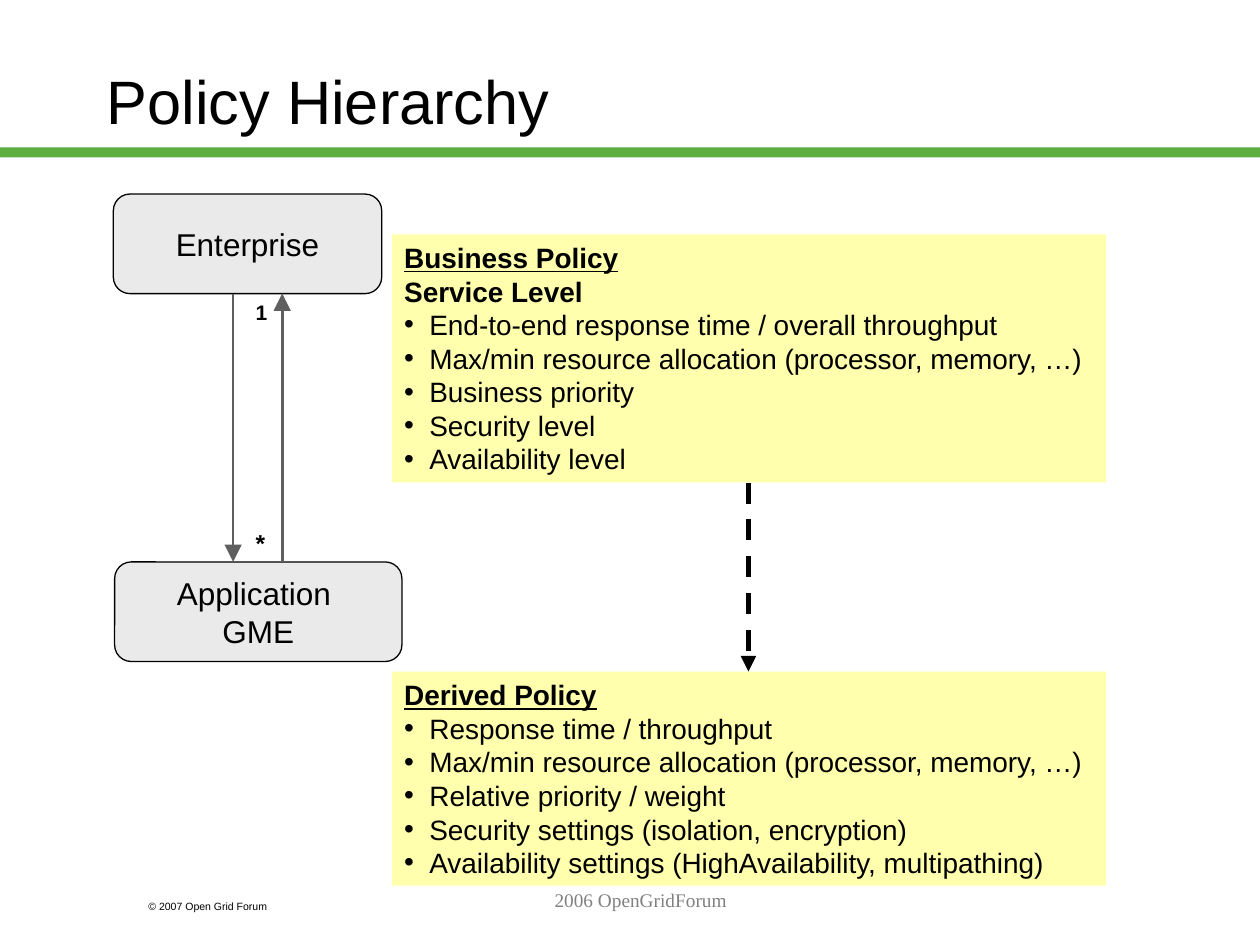
from lxml import etree
from pptx import Presentation, util as u
from pptx.dml.color import RGBColor
from pptx.enum import dml, shapes, text
from pptx.oxml.ns import qn

C = {"green": "5DAD41", "black": "000000", "grey": "EAEAEA",
     "yellow": "FFFF99", "arrow": "5F5F5F", "footer": "808080"}
SH, AL, AN = shapes.MSO_SHAPE, text.PP_ALIGN, text.MSO_ANCHOR

prs = Presentation()
prs.slide_width, prs.slide_height = u.Inches(10), u.Inches(7.5)
s = prs.slides.add_slide(prs.slide_layouts[6])
col, row = prs.slide_width / 100, prs.slide_height / 75


def box(at, lines=(), kind=None, fill=None, size=16, color="black", font="Arial",
        align=AL.LEFT, anchor=AN.TOP, wrap=True):
    x, y, w, h = at
    area = [int(v) for v in (x * col, y * row, w * col, h * row)]
    if kind is None:
        sp = s.shapes.add_textbox(*area)
    else:
        sp = s.shapes.add_shape(kind, *area)
        sp.shadow.inherit = False
        sp.fill.solid()
        sp.fill.fore_color.rgb = RGBColor.from_string(C[fill])
        sp.line.fill.background()
    tf = sp.text_frame
    tf.word_wrap, tf.vertical_anchor = wrap, anchor
    for i, (words, style) in enumerate(lines):
        p = tf.paragraphs[0] if i == 0 else tf.add_paragraph()
        p.alignment = align
        if "•" in style:
            pPr = p._p.get_or_add_pPr()
            pPr.set("marL", str(u.Inches(0.2)))
            pPr.set("indent", str(u.Inches(-0.2)))
            etree.SubElement(pPr, qn("a:buFont"), typeface="Arial")
            etree.SubElement(pPr, qn("a:buChar"), char="•")
        for j, part in enumerate(words.split("\n")):
            if j:
                p.add_line_break()
            r = p.add_run()
            r.text = part
            r.font.name, r.font.size = font, u.Pt(size)
            r.font.bold, r.font.underline = "b" in style, "u" in style
            r.font.color.rgb = RGBColor.from_string(C[color])
    return sp


def arrow(x1, y1, x2, y2, color, width, head, dash=None):
    ln = s.shapes.add_connector(shapes.MSO_CONNECTOR.STRAIGHT, int(x1 * col),
                                int(y1 * row), int(x2 * col), int(y2 * row))
    ln.line.color.rgb = RGBColor.from_string(C[color])
    ln.line.width = u.Pt(width)
    if dash:
        ln.line.dash_style = dash
    etree.SubElement(ln.line._get_or_add_ln(), qn("a:tailEnd"),
                     type="triangle", w=head, len=head)
    etree.SubElement(ln._element.spPr, qn("a:effectLst"))


box((0, 11.7, 100, 0.8), kind=SH.RECTANGLE, fill="green")
box((10.8, 70.9, 15, 2), [("© 2007 Open Grid Forum", "")], size=6)
box((7.5, 1.7, 85, 12.5), [("Policy Hierarchy", "")], size=35, anchor=AN.MIDDLE)

for at, name in [((9.1, 44.6, 22.8, 7.9), "Application \nGME"),
                 ((9, 15.4, 21.3, 7.9), "Enterprise")]:
    sp = box(at, [(name, "")], SH.ROUNDED_RECTANGLE, "grey", 18,
             align=AL.CENTER, anchor=AN.MIDDLE, wrap=False)
    sp.line.color.rgb = RGBColor.from_string(C["black"])
    sp.line.width = u.Pt(0.75)

policies = [
    (18.6, 19.7, [("Business Policy", "bu"), ("Service Level", "b")],
     ["End-to-end response time / overall throughput",
      "Max/min resource allocation (processor, memory, …)",
      "Business priority", "Security level", "Availability level"]),
    (53.3, 17, [("Derived Policy", "bu")],
     ["Response time / throughput",
      "Max/min resource allocation (processor, memory, …)",
      "Relative priority / weight", "Security settings (isolation, encryption)",
      "Availability settings (HighAvailability, multipathing)"]),
]
for top, height, heads, items in policies:
    sp = box((31.1, top, 56.7, height), heads + [(item, "•") for item in items],
             SH.RECTANGLE, "yellow")
    rgb = sp._element.spPr.find(qn("a:solidFill")).find(qn("a:srgbClr"))
    etree.SubElement(rgb, qn("a:alpha"), val="80000")

arrow(18.5, 23.3, 18.5, 44.6, "arrow", 1.5, "lg")
arrow(22.4, 44.6, 22.4, 23.3, "arrow", 1.5, "lg")
arrow(59.4, 38.3, 59.4, 53.3, "black", 3, "med", dml.MSO_LINE.DASH)

box((19.3, 23.3, 2.9, 3), [("1", "b")], size=12, wrap=False)
box((19.3, 41.4, 2.7, 3.4), [("*", "b")], size=14, wrap=False)
box((21.7, 70, 58.3, 5), [("2006 OpenGridForum", "")], size=11, color="footer",
    font="Times New Roman", align=AL.CENTER)

prs.save("out.pptx")
